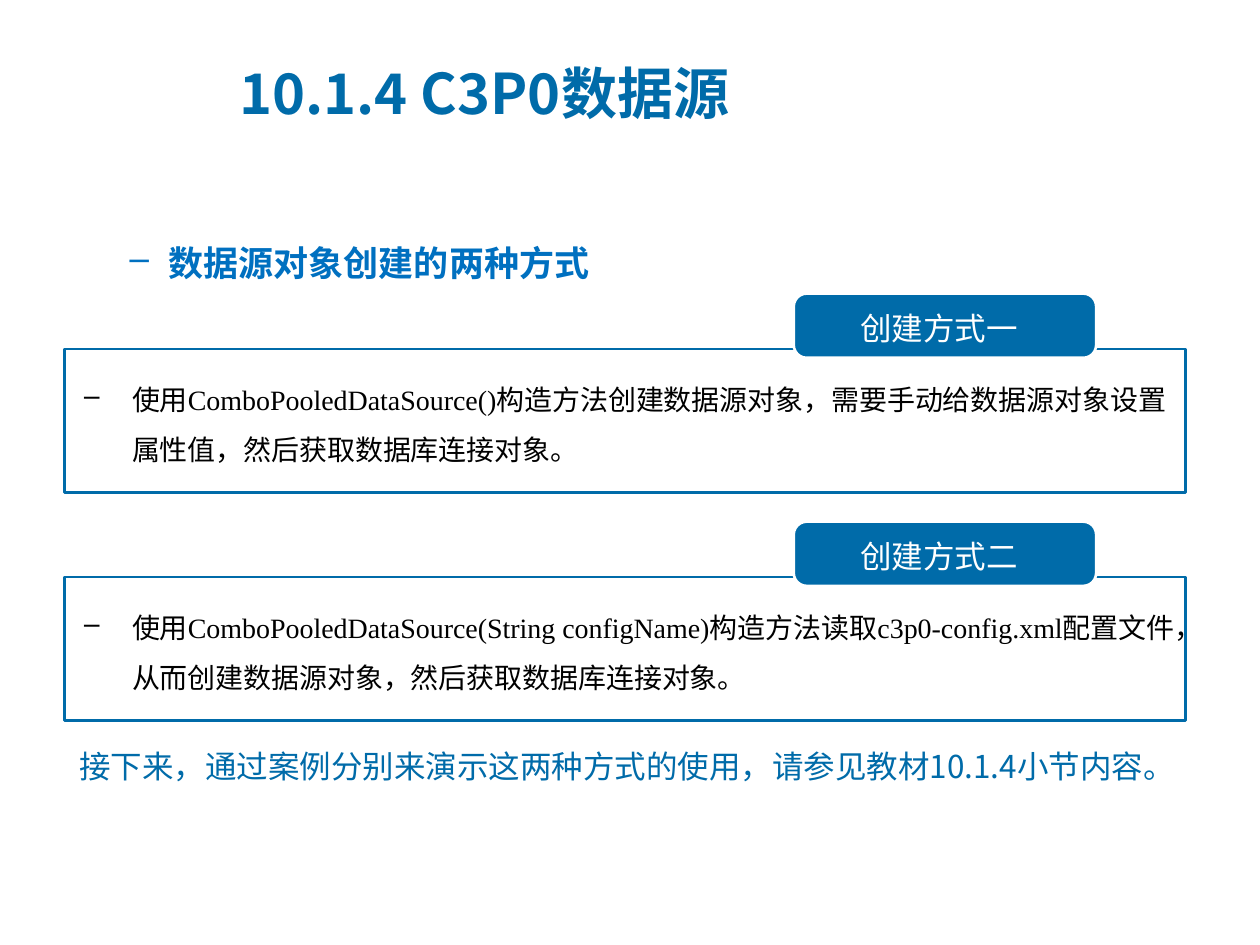
from lxml import etree
from pptx import Presentation
from pptx.dml.color import RGBColor
from pptx.enum.shapes import MSO_SHAPE as Shape
from pptx.enum.text import MSO_ANCHOR as Anchor, MSO_AUTO_SIZE as AutoSize, PP_ALIGN as Align
from pptx.oxml.ns import qn
from pptx.util import Inches, Pt

TITLE = "10.1.4 C3P0数据源"
HEADING = "数据源对象创建的两种方式"
METHODS = [
    ("创建方式一",
     "使用ComboPooledDataSource()构造方法创建数据源对象，需要手动给数据源对象设置属性值，"
     "然后获取数据库连接对象。"),
    ("创建方式二",
     "使用ComboPooledDataSource(String configName)构造方法读取c3p0-config.xml配置文件，"
     "从而创建数据源对象，然后获取数据库连接对象。"),
]
CLOSING = "接下来，通过案例分别来演示这两种方式的使用，请参见教材10.1.4小节内容。"

CJK = "Noto Sans CJK SC"
BLUE = RGBColor(0x00, 0x6B, 0xA9)
WHITE = RGBColor(0xFF, 0xFF, 0xFF)
THEME = {
    "title": {"name": CJK, "size": Pt(32), "bold": True, "color": BLUE},
    "heading": {"name": "Arial", "size": Pt(20), "bold": True,
                "color": RGBColor(0x00, 0x70, 0xC0)},
    "body": {"name": "Times New Roman", "size": Pt(16), "color": RGBColor(0, 0, 0)},
    "label": {"name": CJK, "size": Pt(18), "color": WHITE},
    "closing": {"name": CJK, "size": Pt(18), "color": BLUE},
}
OUTLINE = Pt(1.5)
FIRST_TOP, METHOD_STEP = 2.33, 1.81


def write(shape, text, role, left=0, hanging=0, dash=False, spacing=None):
    """Fill a shape with one paragraph; left and hanging indents are in inches."""
    paragraph = shape.text_frame.paragraphs[0]
    run = paragraph.add_run()
    run.text = text
    paragraph.alignment = Align.LEFT
    if spacing:
        paragraph.line_spacing = spacing
    properties = paragraph._p.get_or_add_pPr()
    properties.set("marL", str(Inches(left)))
    properties.set("indent", str(Inches(-hanging)))
    if dash:
        etree.SubElement(properties, qn("a:buChar"), char="–")
    for key, value in THEME[role].items():
        if key == "color":
            run.font.color.rgb = value
        else:
            setattr(run.font, key, value)
    latin = run._r.rPr.find(qn("a:latin"))
    latin.addnext(latin.makeelement(qn("a:ea"), {"typeface": CJK}))


def add_text(slide, box, text, role, wrap=True, **layout):
    textbox = slide.shapes.add_textbox(*map(Inches, box))
    textbox.text_frame.word_wrap = wrap
    write(textbox, text, role, **layout)


def add_panel(slide, preset, box, line, fill=None):
    panel = slide.shapes.add_shape(preset, *map(Inches, box))
    panel.shadow.inherit = False
    panel.line.color.rgb = line
    panel.line.width = OUTLINE
    if fill is None:
        panel.fill.background()
    else:
        panel.fill.solid()
        panel.fill.fore_color.rgb = fill
    return panel


def add_method(slide, top, label, description):
    add_panel(slide, Shape.RECTANGLE, (0.51, top + 0.44, 8.9, 1.14), BLUE)
    add_text(slide, (0.57, top + 0.52, 8.86, 0.98), description, "body",
             left=0.38, hanging=0.38, dash=True, spacing=1.5)
    tab = add_panel(slide, Shape.ROUNDED_RECTANGLE, (6.3, top, 2.4, 0.51), WHITE, BLUE)
    tab.adjustments[0] = 0.2
    add_text(slide, (6.73, top + 0.07, 1.46, 0.4), label, "label", wrap=False)


def add_title(slide):
    title = slide.shapes.title
    title.left, title.top, title.width, title.height = map(Inches, (1.8, 0.43, 6.51, 0.61))
    title.text_frame.auto_size = AutoSize.NONE
    title.text_frame.vertical_anchor = Anchor.MIDDLE
    write(title, TITLE, "title", left=0.62, hanging=0.62)


def main():
    deck = Presentation()
    deck.slide_width, deck.slide_height = Inches(10), Inches(7.5)
    slide = deck.slides.add_slide(deck.slide_layouts[5])
    add_title(slide)
    add_text(slide, (0.43, 1.7, 8.72, 0.75), HEADING, "heading",
             left=0.81, hanging=0.31, dash=True, spacing=1.5)
    for index, (label, description) in enumerate(METHODS):
        add_method(slide, FIRST_TOP + index * METHOD_STEP, label, description)
    add_text(slide, (0.53, 5.88, 8.72, 0.47), CLOSING, "closing", left=0.38, hanging=0.38)
    deck.save("out.pptx")


if __name__ == "__main__":
    main()
